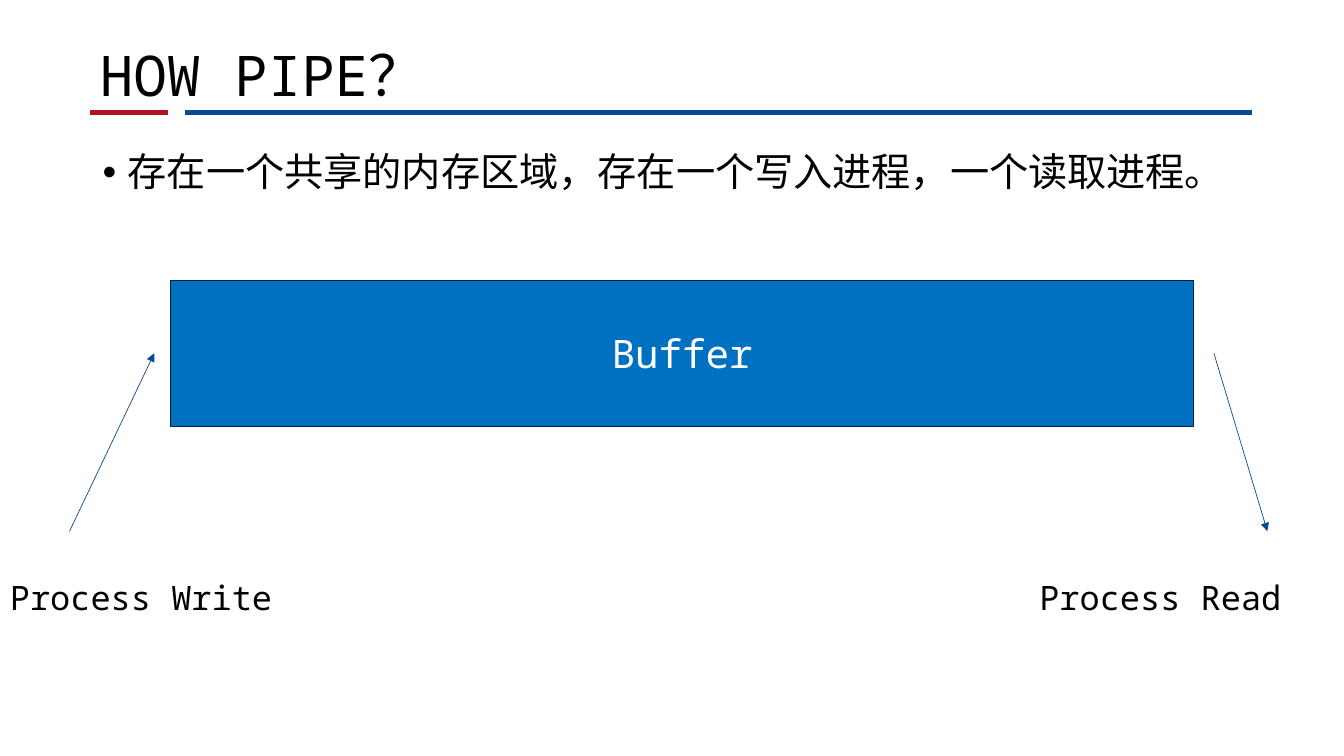
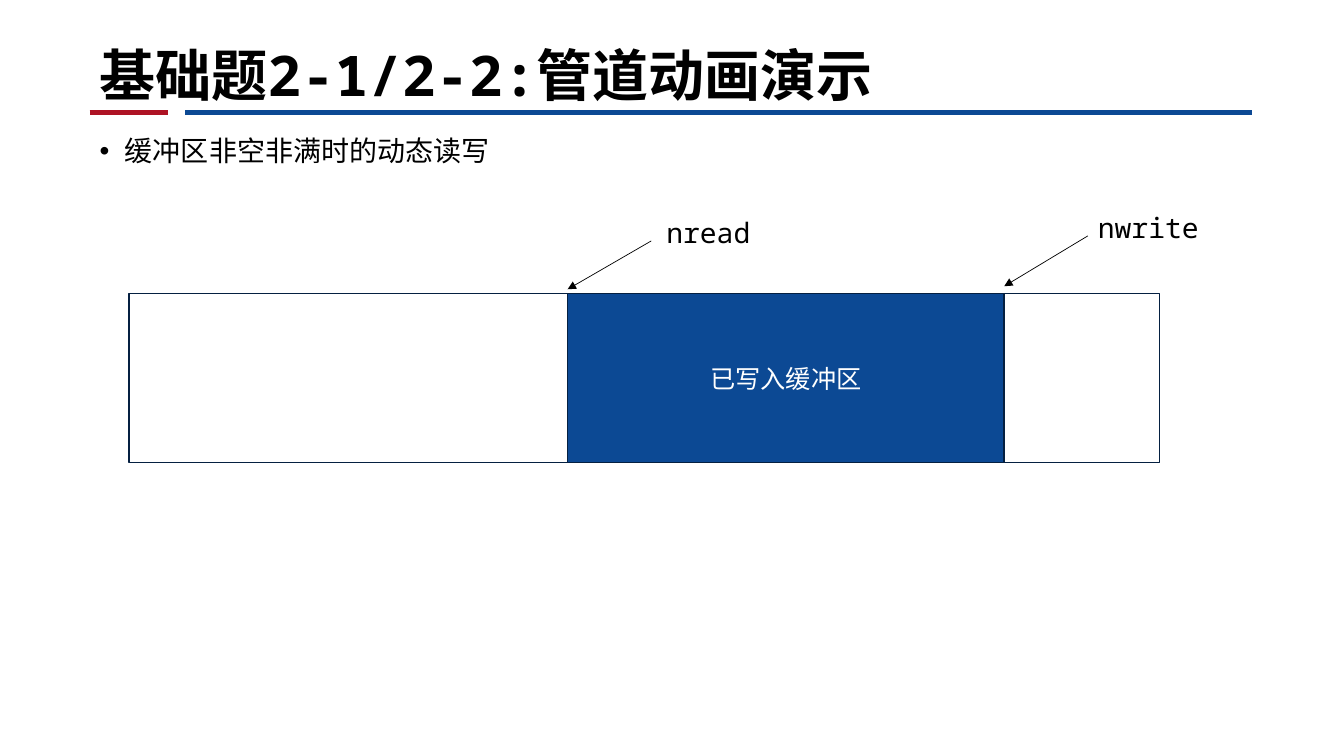
import pptx
import pptx.dml.color
import pptx.enum.shapes
import pptx.enum.text
import pptx.oxml.ns
import pptx.util
from lxml import etree

Inches = pptx.util.Inches
Pt = pptx.util.Pt
RGBColor = pptx.dml.color.RGBColor
Anchor = pptx.enum.text.MSO_ANCHOR
Align = pptx.enum.text.PP_ALIGN
qn = pptx.oxml.ns.qn

BLACK = RGBColor(0x00, 0x00, 0x00)
WHITE = RGBColor(0xFF, 0xFF, 0xFF)
NAVY = RGBColor(0x0C, 0x49, 0x94)
RED = RGBColor(0xAE, 0x13, 0x24)
BLUE = RGBColor(0x00, 0x70, 0xC0)
OUTLINE = RGBColor(0x05, 0x20, 0x41)

SANS = "Arial"
MONO = "Noto Sans Mono"
TITLE_BOX = (0.89, 0, 11.53, 1.12)
RED_RULE_WIDTH = 0.78
RULE_GAP = 0.17


def write(frame, text, size, name=MONO, color=BLACK, bold=False,
          align=Align.LEFT, anchor=Anchor.TOP, bullet=False):
    settings = {"word_wrap": True, "vertical_anchor": anchor,
                "auto_size": pptx.enum.text.MSO_AUTO_SIZE.NONE}
    for key, value in settings.items():
        setattr(frame, key, value)
    para = frame.paragraphs[0]
    para.alignment = align
    if bullet:
        para.line_spacing = 0.9
        properties = para._p.get_or_add_pPr()
        properties.set("marL", str(Inches(0.25)))
        properties.set("indent", str(-Inches(0.25)))
        etree.SubElement(properties, qn("a:buFont")).set("typeface", SANS)
        etree.SubElement(properties, qn("a:buChar")).set("char", "•")
    span = para.add_run()
    span.text = text
    font = {"size": Pt(size), "name": name, "bold": bold}
    for key, value in font.items():
        setattr(span.font, key, value)
    span.font.color.rgb = color


def add_text(page, box, text, size, **style):
    shape = page.shapes.add_textbox(*map(Inches, box))
    write(shape.text_frame, text, size, **style)


def add_block(page, box, fill, text="", size=18, name=SANS):
    block = page.shapes.add_shape(
        pptx.enum.shapes.MSO_SHAPE.RECTANGLE, *map(Inches, box))
    block.shadow.inherit = False
    block.fill.solid()
    block.fill.fore_color.rgb = fill
    block.line.color.rgb = OUTLINE
    block.line.width = Pt(1)
    if text:
        write(block.text_frame, text, size, name=name, color=WHITE,
              align=Align.CENTER, anchor=Anchor.MIDDLE)


def add_line(page, start, end, color, width=0.5, arrow=True):
    line = page.shapes.add_connector(
        pptx.enum.shapes.MSO_CONNECTOR.STRAIGHT,
        *map(Inches, (*start, *end)))
    line.line.color.rgb = color
    line.line.width = Pt(width)
    if arrow:
        outline = line.line._get_or_add_ln()
        etree.SubElement(outline, qn("a:tailEnd")).set("type", "triangle")
    etree.SubElement(line._element.spPr, qn("a:effectLst"))


def add_page(deck, title, bold=False):
    """Add a slide with its title above a red and a navy rule."""
    page = deck.slides.add_slide(deck.slide_layouts[5])
    left, top, width, height = TITLE_BOX
    heading = page.shapes.title
    for key, value in zip(("left", "top", "width", "height"), TITLE_BOX):
        setattr(heading, key, Inches(value))
    write(heading.text_frame, title, 40, bold=bold, anchor=Anchor.BOTTOM)
    bottom = top + height
    split = left + RED_RULE_WIDTH
    rules = ((left, split, RED), (split + RULE_GAP, left + width, NAVY))
    for start, end, color in rules:
        add_line(page, (start, bottom), (end, bottom), color, 3.5, arrow=False)
    return page


def draw_pipe(page, box):
    """Draw the shared buffer with its writing and reading process."""
    left, top, width, height = box
    right, middle = left + width, top + height / 2
    arrow_bottom, label_top = top + 2.49, top + 2.89
    add_block(page, box, BLUE, "Buffer", 28, MONO)
    add_line(page, (left - 1, arrow_bottom), (left - 0.16, middle), NAVY)
    add_line(page, (right + 0.2, middle), (right + 0.73, arrow_bottom), NAVY)
    labels = ((left - 1.69, "Process Write"), (right - 1.63, "Process Read"))
    for label_left, text in labels:
        add_text(page, (label_left, label_top, 3, 0.5), text, 24)


def draw_ring(page, box, read_at, write_at):
    """Draw the buffer, filled between the read and write positions."""
    left, top, width, height = box
    segments = ((0, read_at, WHITE, ""),
                (read_at, write_at, NAVY, "已写入缓冲区"),
                (write_at, width, WHITE, ""))
    for start, end, fill, text in segments:
        add_block(page, (left + start, top, end - start, height), fill, text)
    pointers = (("nread", read_at, 0.04, 0.52, 0.88),
                ("nwrite", write_at, 0.07, 0.57, 0.83))
    for text, offset, gap, rise, label_shift in pointers:
        tip = left + offset
        add_line(page, (tip + 0.83, top - rise), (tip, top - gap), BLACK)
        label = (tip + label_shift, top - rise - 0.3, 1.41, 0.44)
        add_text(page, label, text, 20)


def main():
    deck = pptx.Presentation()
    deck.slide_width = Inches(13.33)
    deck.slide_height = Inches(7.5)

    page = add_page(deck, "HOW PIPE？")
    add_text(page, (0.92, 1.47, 11.5, 5.54),
             "存在一个共享的内存区域，存在一个写入进程，一个读取进程。",
             28, name=SANS, bullet=True)
    draw_pipe(page, (1.69, 2.78, 10.15, 1.45))

    page = add_page(deck, "基础题2-1/2-2:管道动画演示", bold=True)
    add_text(page, (0.89, 1.31, 5.55, 0.41), "缓冲区非空非满时的动态读写",
             20, name=SANS, bullet=True)
    draw_ring(page, (1.28, 2.91, 10.22, 1.68), read_at=4.35, write_at=8.68)

    deck.save("out.pptx")


if __name__ == "__main__":
    main()
